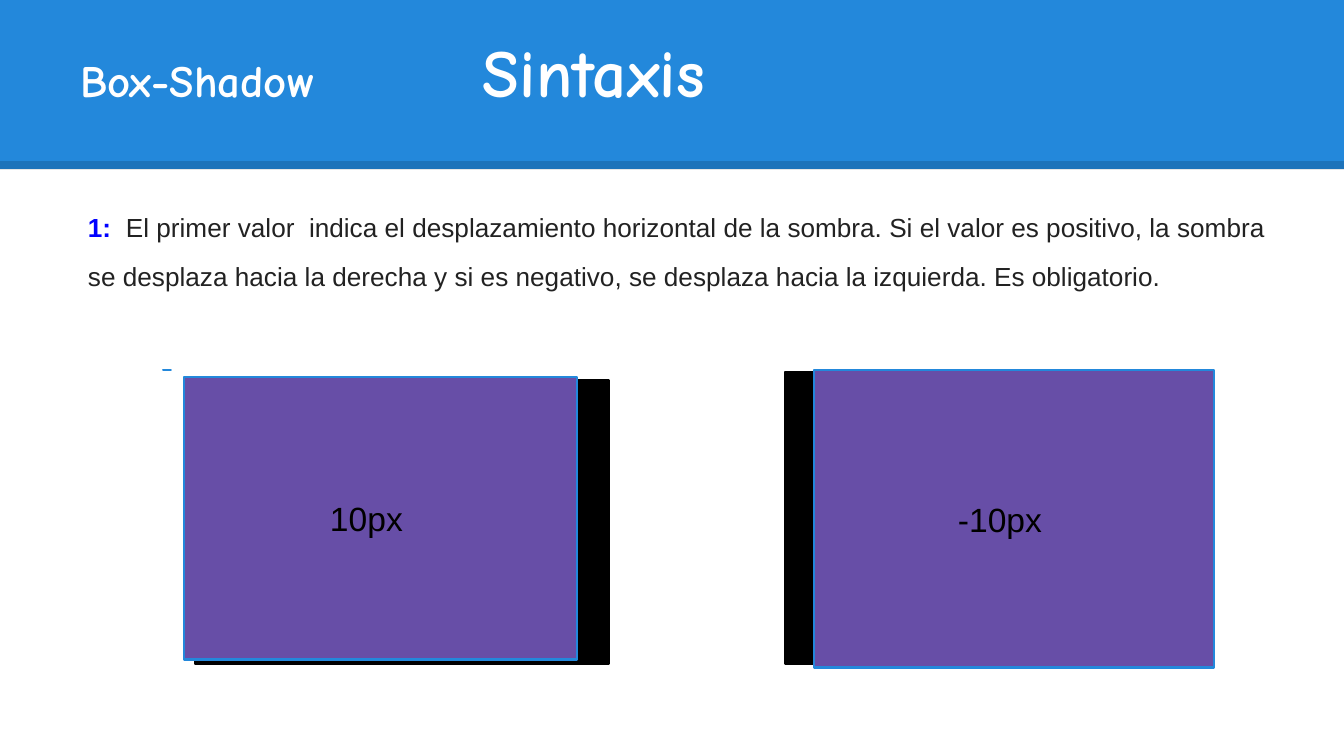
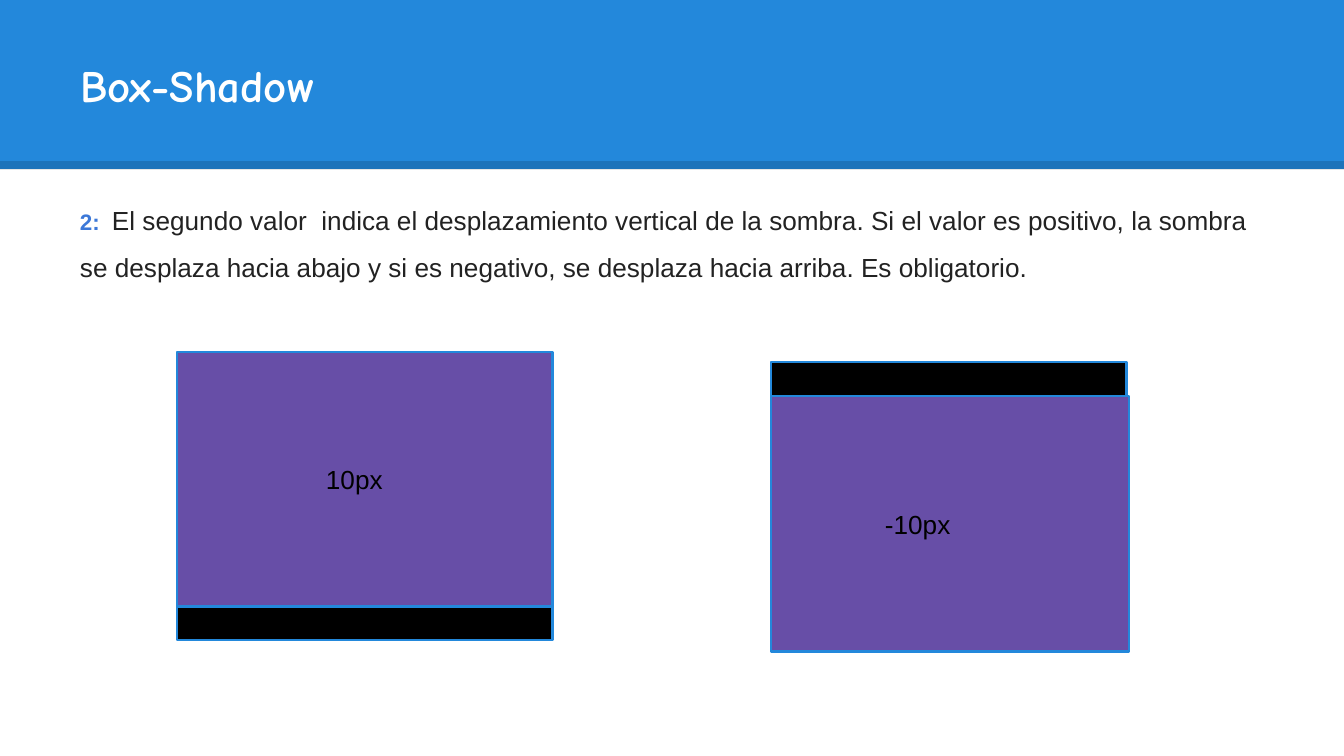
from lxml.etree import SubElement
from pptx import Presentation
from pptx.dml.color import RGBColor
from pptx.enum.shapes import MSO_CONNECTOR, MSO_SHAPE
from pptx.enum.text import MSO_ANCHOR, MSO_AUTO_SIZE, PP_ALIGN
from pptx.oxml.ns import qn
from pptx.util import Emu, Pt

SCALE = 914400 / 134.4  # EMU per pixel
WIDTH, HEIGHT = 1344, 756
INSET = 13
COLORS = {
    "white": "FFFFFF", "band": "2388DB", "black": "000000", "box": "674EA7",
    "dash": "BBD7F8", "text": "222222", "first": "0000FF", "second": "3C78D8",
}
BODY_FONT, TITLE_FONT = "Arial", "Comic Neue"

# Runs: text, size, font, color, bold
HEADING = ("Box-Shadow", 24, TITLE_FONT, "white", True)

# Rectangles, back to front: left, top, width, height, fill, line
# Labels: box number, text, size, left inset
SLIDES = [
    {
        "title": [HEADING, ("\t", 36, BODY_FONT, "white", True),
                  ("Sintaxis", 36, TITLE_FONT, "white", True)],
        "title_at": (67, 34, 1210, 90),
        "title_tab": 403,
        "body": [
            ("1:", 14, BODY_FONT, "first", True),
            ("\t", 18, BODY_FONT, "text", False),
            ("El primer valor  indica el desplazamiento horizontal de la sombra. "
             "Si el valor es positivo, la sombra se desplaza hacia la derecha y si es "
             "negativo, se desplaza hacia la izquierda. Es obligatorio.",
             14, BODY_FONT, "text", False),
        ],
        "body_at": (75, 171, 1210, 547),
        "body_tab": 38,
        "rectangles": [
            (785, 372, 399, 292, "black", "black"),
            (195, 380, 414, 284, "black", "black"),
            (163, 370, 8, 0, "dash", "band"),
            (184, 377, 393, 283, "box", "band"),
            (814, 370, 400, 298, "box", "band"),
        ],
        "labels": {3: ("10px", 18, 146), 4: ("-10px", 18, 144)},
    },
    {
        "title": [HEADING],
        "title_at": (67, 27, 1210, 98),
        "title_tab": None,
        "body": [
            ("2:", 12, BODY_FONT, "second", True),
            ("\t", 14, BODY_FONT, "second", True),
            ("El segundo valor  indica el desplazamiento vertical de la sombra. "
             "Si el valor es positivo, la sombra se desplaza hacia abajo y si es "
             "negativo, se desplaza hacia arriba. Es obligatorio.",
             14, BODY_FONT, "text", False),
        ],
        "body_at": (67, 176, 1210, 547),
        "body_tab": 32,
        "rectangles": [
            (177, 383, 376, 257, "black", "band"),
            (771, 362, 356, 257, "black", "band"),
            (177, 352, 376, 255, "box", "band"),
            (771, 396, 358, 256, "box", "band"),
        ],
        "labels": {2: ("10px", 14, 149), 3: ("-10px", 14, 114)},
    },
]


def px(value):
    return Emu(round(value * SCALE))


def color(name):
    return RGBColor.from_string(COLORS[name])


def place(shape, box):
    shape.left, shape.top, shape.width, shape.height = map(px, box)


def write(shape, runs, anchor, left_inset=INSET, tab=None):
    """Fill a shape with one left-aligned paragraph."""
    frame = shape.text_frame
    frame.word_wrap = True
    frame.auto_size = MSO_AUTO_SIZE.NONE
    frame.vertical_anchor = anchor
    frame.margin_left = px(left_inset)
    frame.margin_top = frame.margin_right = frame.margin_bottom = px(INSET)
    paragraph = frame.paragraphs[0]
    paragraph.alignment = PP_ALIGN.LEFT
    if tab:
        stops = SubElement(paragraph._p.get_or_add_pPr(), qn("a:tabLst"))
        SubElement(stops, qn("a:tab"), pos=str(px(tab)), algn="l")
    for text, size, font, color_name, bold in runs:
        run = paragraph.add_run()
        run.text = text
        run.font.size = Pt(size)
        run.font.name = font
        run.font.bold = bold
        run.font.color.rgb = color(color_name)
    return paragraph


def add_rectangle(slide, box, fill, line=None):
    shape = slide.shapes.add_shape(MSO_SHAPE.RECTANGLE, *map(px, box))
    shape.shadow.inherit = False
    shape.fill.solid()
    shape.fill.fore_color.rgb = color(fill)
    if line:
        shape.line.color.rgb = color(line)
        shape.line.width = Pt(1.5)
    else:
        shape.line.fill.background()
    return shape


def add_band(slide, layout):
    """Draw the header band and its dark edge, and move both to the layout."""
    band = add_rectangle(slide, (0, 0, WIDTH, 169), "band")
    edge = slide.shapes.add_connector(
        MSO_CONNECTOR.STRAIGHT, px(0), px(165.5), px(WIDTH), px(165.5))
    edge.line.color.rgb = color("black")
    edge.line.width = Pt(4.5)
    SubElement(edge.line.fill._xPr.find(".//" + qn("a:srgbClr")),
               qn("a:alpha"), val="15000")
    SubElement(edge.element.spPr, qn("a:effectLst"))
    title = layout.placeholders[0].element
    for part in (band, edge):
        title.addprevious(part.element)


presentation = Presentation()
presentation.slide_width, presentation.slide_height = px(WIDTH), px(HEIGHT)
layout = presentation.slide_layouts[5]

# Keep only the title on the layout
for placeholder in list(layout.placeholders)[1:]:
    placeholder.element.getparent().remove(placeholder.element)

for number, content in enumerate(SLIDES):
    slide = presentation.slides.add_slide(layout)
    if number == 0:
        add_band(slide, layout)

    # Title
    title = slide.shapes.title
    place(title, content["title_at"])
    write(title, content["title"], MSO_ANCHOR.BOTTOM, tab=content["title_tab"])

    # Explanation
    body = slide.shapes.add_textbox(*map(px, content["body_at"]))
    paragraph = write(body, content["body"], MSO_ANCHOR.TOP, tab=content["body_tab"])
    paragraph.line_spacing = 1.5
    paragraph.space_before, paragraph.space_after = Pt(11), Pt(23)

    # Boxes and their shadows
    for index, (*box, fill, line) in enumerate(content["rectangles"]):
        rectangle = add_rectangle(slide, box, fill, line)
        if index in content["labels"]:
            text, size, inset = content["labels"][index]
            write(rectangle, [(text, size, BODY_FONT, "black", False)],
                  MSO_ANCHOR.MIDDLE, inset)

presentation.save("out.pptx")
